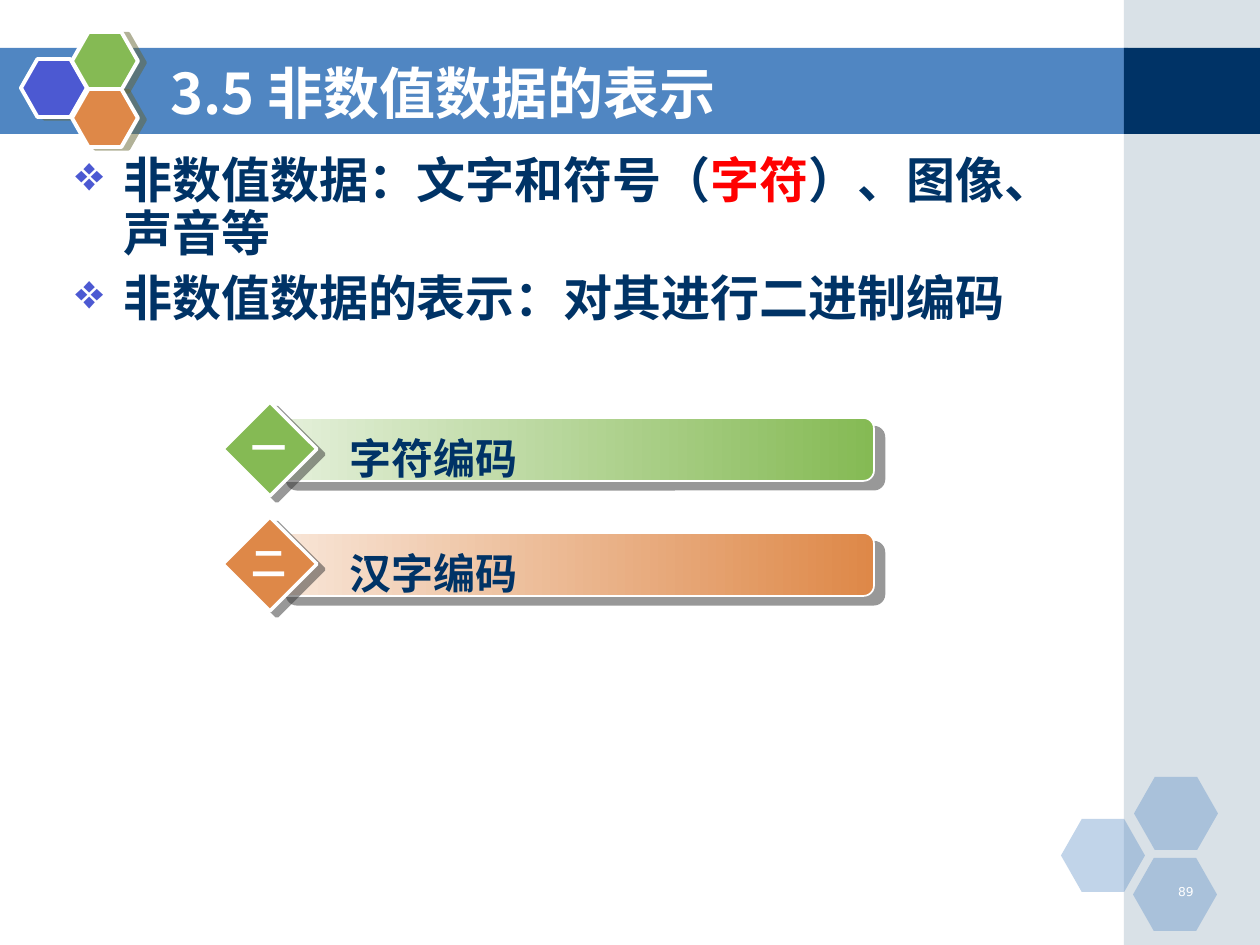
from dataclasses import dataclass

from lxml.etree import SubElement
from pptx import Presentation
from pptx.dml.color import RGBColor
from pptx.enum.shapes import MSO_SHAPE as Preset
from pptx.enum.text import MSO_ANCHOR as Anchor, PP_ALIGN as Align
from pptx.oxml.ns import qn
from pptx.util import Emu, Pt

EMU_PER_PX = 914400 / 126


@dataclass(frozen=True)
class Theme:
    sans: str = "Noto Sans CJK SC"
    label: str = "Arial"
    number: str = "DejaVu Sans"
    white: str = "FFFFFF"
    navy: str = "003366"
    red: str = "FF0000"
    blue: str = "5086C2"
    panel: str = "A0B5C4"
    violet: str = "4C59D2"
    green: str = "85BA54"
    pale_green: str = "E5F0DB"
    orange: str = "DE8848"
    pale_orange: str = "F8E6D8"
    logo_shadow: str = "666633"
    bar_shadow: str = "333333"
    title_size: int = 32
    body_size: int = 28
    label_size: int = 24
    numeral_size: int = 20
    number_size: int = 7


THEME = Theme()


def px(length):
    return Emu(round(length * EMU_PER_PX))


def rgb(color):
    return RGBColor.from_string(color)


def add_child(parent, tag, **attributes):
    return SubElement(parent, qn(tag), {key: str(value) for key, value in attributes.items()})


def add_shadow(shape, color, distance, angle):
    effects = shape._element.spPr.find(qn("a:effectLst"))
    shadow = add_child(effects, "a:outerShdw", blurRad=0, dist=Pt(distance),
                       dir=angle * 60000, algn="ctr", rotWithShape=0)
    tint = add_child(shadow, "a:srgbClr", val=color)
    add_child(tint, "a:alpha", val=50000)


def add_preset(slide, preset, box, color, opacity=100, outline=0, shadow=None, adjustments=()):
    shape = slide.shapes.add_shape(preset, *map(px, box))
    shape.shadow.inherit = False
    shape.fill.solid()
    shape.fill.fore_color.rgb = rgb(color)
    if opacity < 100:
        tint = shape._element.spPr.find(qn("a:solidFill")).find(qn("a:srgbClr"))
        add_child(tint, "a:alpha", val=opacity * 1000)
    if outline:
        shape.line.color.rgb = rgb(THEME.white)
        shape.line.width = Pt(outline)
    else:
        shape.line.fill.background()
    if shadow:
        add_shadow(shape, *shadow)
    for index, value in enumerate(adjustments):
        shape.adjustments[index] = value
    return shape


def format_run(run, font_name, size, color, bold=True):
    run.font.name = font_name
    run.font.size = Pt(size)
    run.font.bold = bold
    run.font.color.rgb = rgb(color)
    add_child(run.font._element, "a:ea", typeface=THEME.sans)


def add_text(slide, box, text, font_name, size, color, bold=True, align=Align.LEFT,
             anchor=Anchor.TOP, wrap=True):
    text_frame = slide.shapes.add_textbox(*map(px, box)).text_frame
    text_frame.word_wrap = wrap
    text_frame.vertical_anchor = anchor
    text_frame.text = text
    paragraph = text_frame.paragraphs[0]
    paragraph.alignment = align
    format_run(paragraph.runs[0], font_name, size, color, bold)
    return text_frame


def add_bullets(slide, box, items):
    text_frame = slide.shapes.add_textbox(*map(px, box)).text_frame
    text_frame.word_wrap = True
    for index, pieces in enumerate(items):
        paragraph = text_frame.add_paragraph() if index else text_frame.paragraphs[0]
        properties = paragraph._p.get_or_add_pPr()
        properties.set("marL", str(px(48)))
        properties.set("indent", str(px(-48)))
        bullet_color = add_child(properties, "a:buClr")
        add_child(bullet_color, "a:srgbClr", val=THEME.violet)
        add_child(properties, "a:buChar", char="❖")
        paragraph.line_spacing = Pt(30.3)
        paragraph.space_before = Pt(7 if index else 0)
        for text, color in pieces:
            run = paragraph.add_run()
            run.text = text
            format_run(run, THEME.sans, THEME.body_size, color)


def add_hexagons(slide, positions, size, colors, **style):
    for position, color in zip(positions, colors):
        add_preset(slide, Preset.HEXAGON, (*position, *size), color,
                   adjustments=(0.285, 1.155), **style)


def add_topic(slide, top, numeral, label, color, pale_color):
    bar = add_preset(slide, Preset.ROUNDED_RECTANGLE, (276, top + 16, 598, 63), color,
                     outline=1, shadow=(THEME.bar_shadow, 7.8, 40), adjustments=(0.167,))
    bar.fill.gradient()
    bar.fill.gradient_angle = 0
    for stop, position, stop_color in zip(bar.fill.gradient_stops, (0, 1), (pale_color, color)):
        stop.position = position
        stop.color.rgb = rgb(stop_color)
    add_preset(slide, Preset.DIAMOND, (223, top, 94, 94), color,
               outline=2, shadow=(THEME.bar_shadow, 5, 37))
    label_frame = add_text(slide, (307, top + 24, 472, 63), label,
                           THEME.label, THEME.label_size, THEME.navy)
    label_frame.margin_left = px(42)
    add_text(slide, (239, top + 18, 60, 55), numeral, THEME.sans, THEME.numeral_size,
             THEME.white, align=Align.CENTER, wrap=False)


def add_background(slide):
    add_preset(slide, Preset.RECTANGLE, (-1, 48, 1129, 86), THEME.blue)
    add_preset(slide, Preset.RECTANGLE, (1124, 0, 136, 945), THEME.panel, opacity=40)
    add_preset(slide, Preset.RECTANGLE, (1124, 48, 136, 86), THEME.navy)
    add_hexagons(slide, ((1061, 819), (1134, 777), (1133, 858)), (84, 73),
                 (THEME.blue,) * 3, opacity=35)
    add_hexagons(slide, ((21, 59), (72, 32), (72, 89)), (66, 58),
                 (THEME.violet, THEME.green, THEME.orange),
                 outline=2.25, shadow=(THEME.logo_shadow, 4.1, 14))


def main():
    presentation = Presentation()
    presentation.slide_width, presentation.slide_height = px(1260), px(945)
    slide = presentation.slides.add_slide(presentation.slide_layouts[6])
    add_background(slide)
    add_text(slide, (1143, 878, 63, 32), "89", THEME.number, THEME.number_size,
             THEME.white, bold=False, align=Align.RIGHT)
    add_text(slide, (158, 53, 924, 78), "3.5 非数值数据的表示", THEME.sans,
             THEME.title_size, THEME.white, anchor=Anchor.MIDDLE)
    add_bullets(slide, (63, 149, 977, 205), (
        (("非数值数据：文字和符号（", THEME.navy), ("字符", THEME.red),
         ("）、图像、声音等", THEME.navy)),
        (("非数值数据的表示：对其进行二进制编码", THEME.navy),),
    ))
    topics = (
        ("一", "字符编码", THEME.green, THEME.pale_green),
        ("二", "汉字编码", THEME.orange, THEME.pale_orange),
    )
    for index, topic in enumerate(topics):
        add_topic(slide, 402 + 115 * index, *topic)
    presentation.save("out.pptx")


if __name__ == "__main__":
    main()
